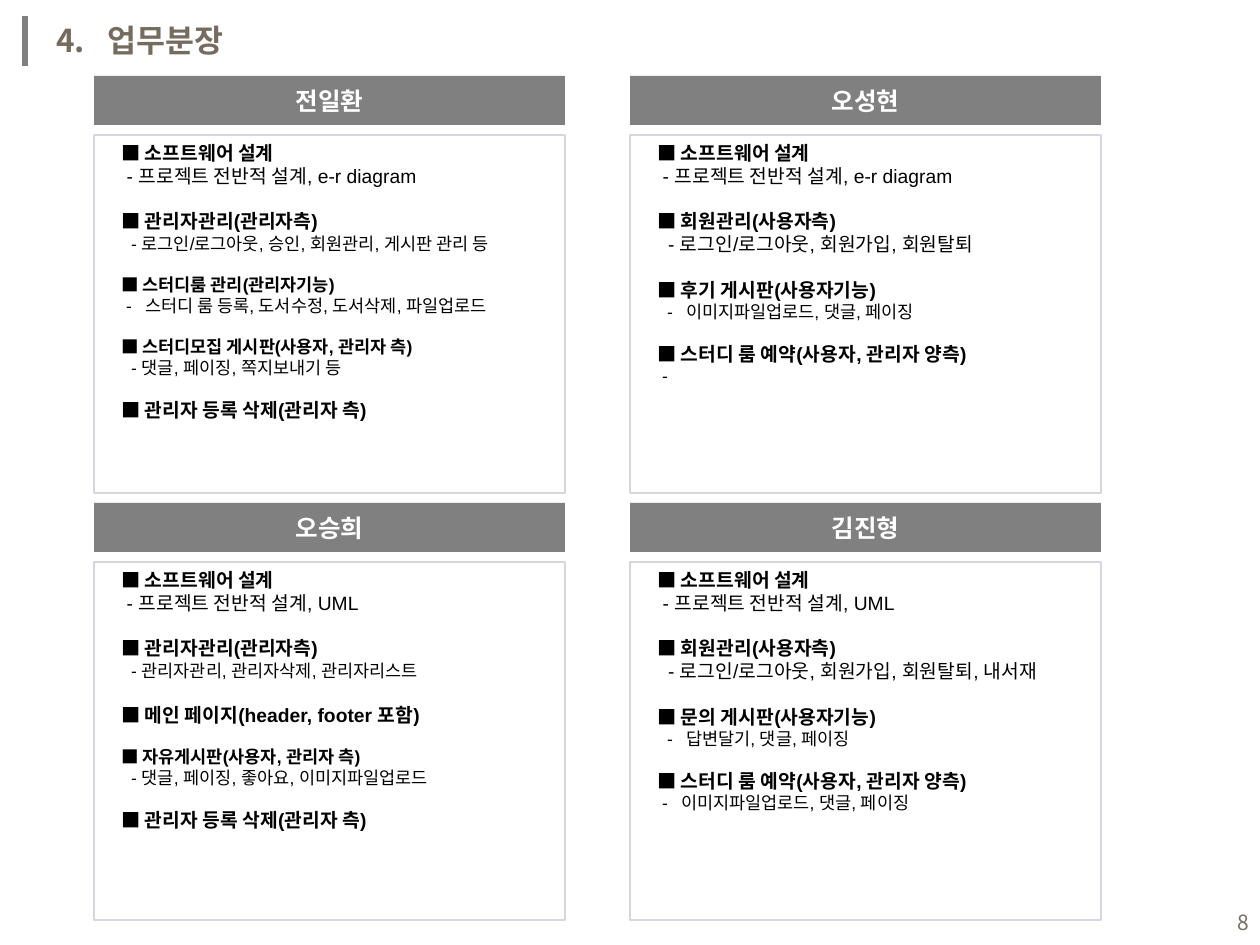
from lxml import etree
from pptx import Presentation
from pptx.dml.color import RGBColor
from pptx.enum.shapes import MSO_CONNECTOR, MSO_SHAPE
from pptx.enum.text import MSO_ANCHOR, PP_ALIGN
from pptx.oxml.ns import qn
from pptx.util import Pt

TITLE = "4.\t업무분장"
PAGE_NUMBER = "8"

# Each task: heading, heading size, gap size, detail, detail size, detail indent in spaces
MEMBERS = [
    ("전일환", [
        ("소프트웨어 설계", 11, 0, "- 프로젝트 전반적 설계, e-r diagram", 11, 1),
        ("관리자관리(관리자측)", 11, 11, "- 로그인/로그아웃, 승인, 회원관리, 게시판 관리 등", 10, 2),
        ("스터디룸 관리(관리자기능)", 10, 10, "-\t스터디 룸 등록, 도서수정, 도서삭제, 파일업로드", 10, 1),
        ("스터디모집 게시판(사용자, 관리자 측)", 10, 10, "- 댓글, 페이징, 쪽지보내기 등", 10, 2),
        ("관리자 등록 삭제(관리자 측)", 11, 10, "", 0, 0),
    ]),
    ("오성현", [
        ("소프트웨어 설계", 11, 0, "- 프로젝트 전반적 설계, e-r diagram", 11, 1),
        ("회원관리(사용자측)", 11, 11, "- 로그인/로그아웃, 회원가입, 회원탈퇴", 11, 2),
        ("후기 게시판(사용자기능)", 11, 11, "-\t이미지파일업로드, 댓글, 페이징", 10, 2),
        ("스터디 룸 예약(사용자, 관리자 양측)", 11, 10, "-", 10, 1),
    ]),
    ("오승희", [
        ("소프트웨어 설계", 11, 0, "- 프로젝트 전반적 설계, UML", 11, 1),
        ("관리자관리(관리자측)", 11, 11, "- 관리자관리, 관리자삭제, 관리자리스트", 10, 2),
        ("메인 페이지(header, footer 포함)", 11, 11, "", 0, 0),
        ("자유게시판(사용자, 관리자 측)", 10, 10, "- 댓글, 페이징, 좋아요, 이미지파일업로드", 10, 2),
        ("관리자 등록 삭제(관리자 측)", 11, 10, "", 0, 0),
    ]),
    ("김진형", [
        ("소프트웨어 설계", 11, 0, "- 프로젝트 전반적 설계, UML", 11, 1),
        ("회원관리(사용자측)", 11, 11, "- 로그인/로그아웃, 회원가입, 회원탈퇴, 내서재", 11, 2),
        ("문의 게시판(사용자기능)", 11, 11, "-\t답변달기, 댓글, 페이징", 10, 2),
        ("스터디 룸 예약(사용자, 관리자 양측)", 11, 10, "-\t이미지파일업로드, 댓글, 페이징", 10, 1),
    ]),
]

GRAY = RGBColor(0x80, 0x80, 0x80)
BORDER = RGBColor(0xD6, 0xD7, 0xDE)
BROWN = RGBColor(0x75, 0x6B, 0x5F)
WHITE = RGBColor(0xFF, 0xFF, 0xFF)
BLACK = RGBColor(0x00, 0x00, 0x00)
KOREAN = "Noto Sans CJK KR"
LATIN = "Arial"
RECTANGLE = MSO_SHAPE.RECTANGLE
STRAIGHT = MSO_CONNECTOR.STRAIGHT
MIDDLE = MSO_ANCHOR.MIDDLE
CENTER, RIGHT = PP_ALIGN.CENTER, PP_ALIGN.RIGHT

LEFT, TOP, WIDTH = 94, 76, 471
COLUMN_STEP, ROW_STEP = 536, 427
HEADER_HEIGHT, BODY_OFFSET, BODY_HEIGHT = 49, 59, 358
TEXT_INSET, TEXT_WIDTH, TEXT_HEIGHT = 15, 468, 339
TITLE_TAB, DASH_TAB = 51, 19
LINE_FACTOR, SPACE_FACTOR = 1.15, 0.28


def px(value):
    return round(value * 914400 / 126)


def write(para, text, size, color, bold=False, latin=KOREAN):
    para.text = text
    for span in para.runs:
        font = span.font
        font.size, font.bold, font.name = Pt(size), bold, latin
        font.color.rgb = color
        east_asian = etree.SubElement(font._element, qn("a:ea"))
        east_asian.set("typeface", KOREAN)


def indent(para, lead, hanging):
    properties = para._p.get_or_add_pPr()
    properties.set("marL", str(lead + hanging))
    properties.set("indent", str(-hanging))


def add_text_box(page, *place):
    box = page.shapes.add_textbox(*map(px, place))
    box.text_frame.word_wrap = True
    return box.text_frame


def add_rectangle(page, *place):
    box = page.shapes.add_shape(RECTANGLE, *map(px, place))
    box.shadow.inherit = False
    return box


def add_tasks(frame, tasks):
    for number, (heading, size, gap, detail, detail_size, spaces) in enumerate(tasks):
        para = frame.add_paragraph() if number else frame.paragraphs[0]
        write(para, "■ " + heading, size, BLACK, True, LATIN)
        if gap:
            para.space_before = Pt(gap * LINE_FACTOR)
        if detail:
            para = frame.add_paragraph()
            write(para, detail, detail_size, BLACK, False, LATIN)
            lead = Pt(spaces * detail_size * SPACE_FACTOR)
            indent(para, lead, px(DASH_TAB) if "\t" in detail else 0)


def add_member(page, left, top, name, tasks):
    header = add_rectangle(page, left, top, WIDTH, HEADER_HEIGHT)
    header.fill.solid()
    header.fill.fore_color.rgb = GRAY
    header.line.fill.background()
    header.text_frame.vertical_anchor = MIDDLE
    para = header.text_frame.paragraphs[0]
    write(para, name, 14, WHITE, True)
    para.alignment = CENTER

    body_top = top + BODY_OFFSET
    body = add_rectangle(page, left, body_top, WIDTH, BODY_HEIGHT)
    body.fill.background()
    body.line.color.rgb = BORDER
    body.line.width = Pt(1.5)
    frame = add_text_box(page, left + TEXT_INSET, body_top, TEXT_WIDTH, TEXT_HEIGHT)
    add_tasks(frame, tasks)


def main():
    deck = Presentation()
    deck.slide_width, deck.slide_height = px(1260), px(945)
    page = deck.slides.add_slide(deck.slide_layouts[6])

    bar = page.shapes.add_connector(STRAIGHT, px(25), px(16), px(25), px(66))
    bar.line.color.rgb = GRAY
    bar.line.width = Pt(3)
    etree.SubElement(bar._element.spPr, qn("a:effectLst"))

    title = add_text_box(page, 44, 15, 404, 50).paragraphs[0]
    write(title, TITLE, 18, BROWN, True)
    indent(title, 0, px(TITLE_TAB))

    for index, (name, tasks) in enumerate(MEMBERS):
        row, column = divmod(index, 2)
        add_member(page, LEFT + column * COLUMN_STEP, TOP + row * ROW_STEP, name, tasks)

    footer = add_text_box(page, 968, 897, 293, 50)
    footer.vertical_anchor = MIDDLE
    write(footer.paragraphs[0], PAGE_NUMBER, 12, BROWN)
    footer.paragraphs[0].alignment = RIGHT

    deck.save("out.pptx")


if __name__ == "__main__":
    main()
